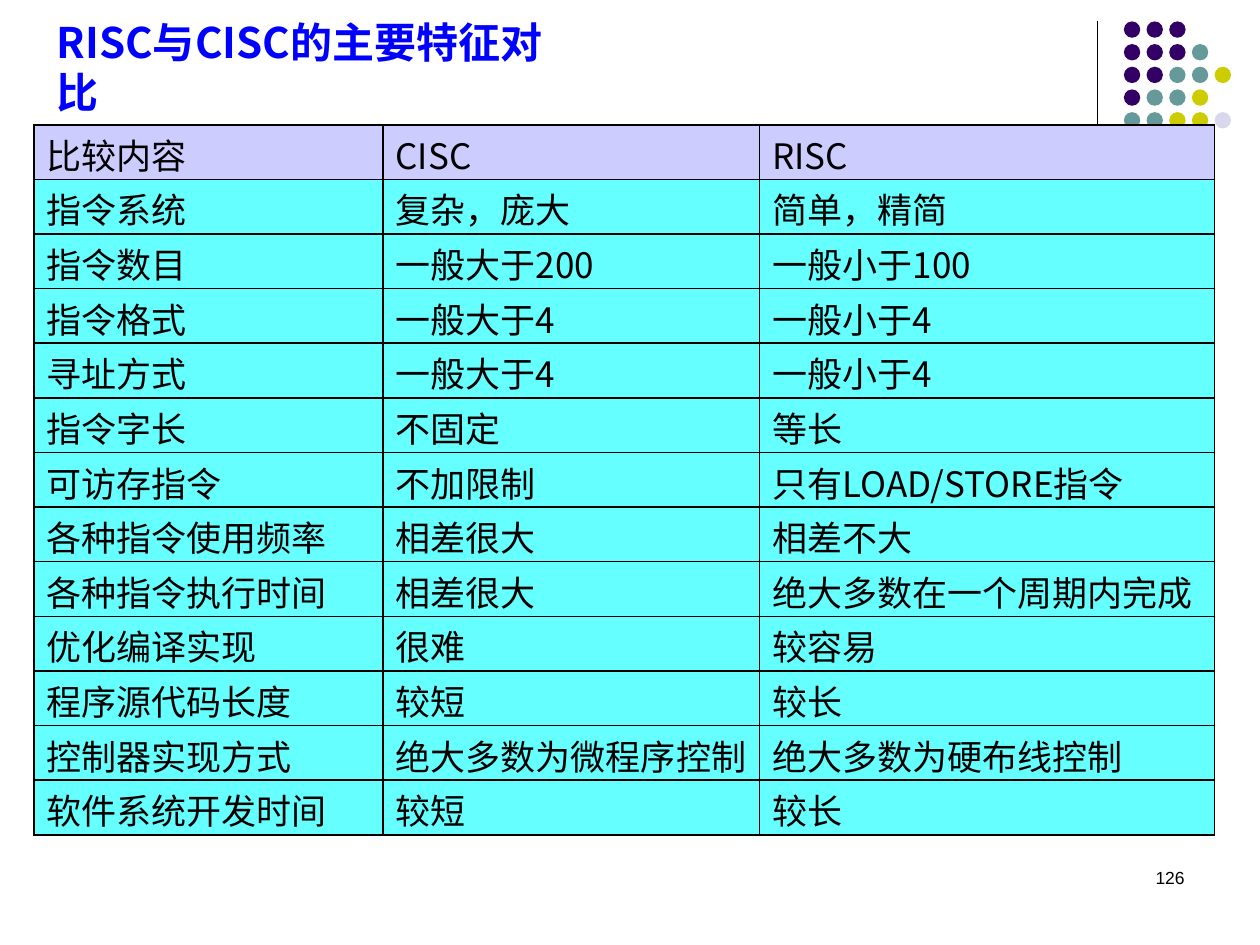
import pptx
import pptx.dml.color
import pptx.enum.shapes
import pptx.enum.text
import pptx.oxml.ns
import pptx.util
from lxml import etree
from pptx.util import Inches

FONT = "Noto Sans CJK SC"
BORDER_TAGS = ("a:lnL", "a:lnR", "a:lnT", "a:lnB")

DOT_COLOURS = {"P": "330066", "T": "669999", "Y": "CCCC00", "L": "D8D8EC"}
DOT_ROWS = ("PPP", "PPPT", "PPTTY", "PTTY", "TTYYL")
DOT_LEFT, DOT_TOP, DOT_PITCH, DOT_SIZE = 8.92, 0.17, 0.18, 0.13

COLUMN_WIDTHS = (2.77, 2.99, 3.61)
TABLE_HEIGHT = 5.64
COMPARISON = (
    ("比较内容", "CISC", "RISC"),
    ("指令系统", "复杂，庞大", "简单，精简"),
    ("指令数目", "一般大于200", "一般小于100"),
    ("指令格式", "一般大于4", "一般小于4"),
    ("寻址方式", "一般大于4", "一般小于4"),
    ("指令字长", "不固定", "等长"),
    ("可访存指令", "不加限制", "只有LOAD/STORE指令"),
    ("各种指令使用频率", "相差很大", "相差不大"),
    ("各种指令执行时间", "相差很大", "绝大多数在一个周期内完成"),
    ("优化编译实现", "很难", "较容易"),
    ("程序源代码长度", "较短", "较长"),
    ("控制器实现方式", "绝大多数为微程序控制", "绝大多数为硬布线控制"),
    ("软件系统开发时间", "较短", "较长"),
)


def colour(value):
    return pptx.dml.color.RGBColor.from_string(value)


def add_element(parent, tag, **attributes):
    return etree.SubElement(parent, pptx.oxml.ns.qn(tag), **attributes)


class SlideBuilder:
    def __init__(self, page):
        self.page = page

    def add_span(self, paragraph, text, size, value="000000", font=FONT, bold=False):
        span = paragraph.add_run()
        span.text = text
        span.font.size = pptx.util.Pt(size)
        span.font.bold = bold
        span.font.color.rgb = colour(value)
        span.font.name = font
        add_element(span.font._element, "a:ea", typeface=font)

    def title(self, text, left, top, width, height):
        box = self.page.shapes.title
        box.left, box.top = Inches(left), Inches(top)
        box.width, box.height = Inches(width), Inches(height)
        frame = box.text_frame
        frame.auto_size = pptx.enum.text.MSO_AUTO_SIZE.NONE
        frame.word_wrap = True
        frame.vertical_anchor = pptx.enum.text.MSO_ANCHOR.MIDDLE
        paragraph = frame.paragraphs[0]
        paragraph.alignment = pptx.enum.text.PP_ALIGN.LEFT
        self.add_span(paragraph, text, 24, "0000FF", bold=True)

    def page_number(self, text, left, top, width, height):
        box = self.page.shapes.add_textbox(
            Inches(left), Inches(top), Inches(width), Inches(height))
        box.text_frame.word_wrap = True
        paragraph = box.text_frame.paragraphs[0]
        paragraph.alignment = pptx.enum.text.PP_ALIGN.RIGHT
        self.add_span(paragraph, text, 10, font="Arial")

    def vertical_line(self, left, top, bottom):
        line = self.page.shapes.add_connector(
            pptx.enum.shapes.MSO_CONNECTOR.STRAIGHT,
            Inches(left), Inches(top), Inches(left), Inches(bottom))
        line.line.color.rgb = colour("000000")
        line.line.width = pptx.util.Pt(0.75)
        add_element(line._element.spPr, "a:effectLst")

    def dot(self, left, top, value):
        shape = self.page.shapes.add_shape(
            pptx.enum.shapes.MSO_SHAPE.OVAL,
            Inches(left), Inches(top), Inches(DOT_SIZE), Inches(DOT_SIZE))
        shape.shadow.inherit = False
        shape.fill.solid()
        shape.fill.fore_color.rgb = colour(value)
        shape.line.fill.background()

    def cell(self, cell, text, fill):
        cell.vertical_anchor = pptx.enum.text.MSO_ANCHOR.MIDDLE
        cell.margin_left = cell.margin_right = Inches(0.1)
        cell.margin_top, cell.margin_bottom = Inches(0.03), 0
        self.add_span(cell.text_frame.paragraphs[0], text, 20)
        properties = cell._tc.get_or_add_tcPr()
        for tag in BORDER_TAGS:
            border = add_element(properties, tag, w=str(pptx.util.Pt(1)))
            add_element(add_element(border, "a:solidFill"), "a:srgbClr", val="000000")
        cell.fill.solid()
        cell.fill.fore_color.rgb = colour(fill)

    def table(self, rows, left, top, widths, height):
        table = self.page.shapes.add_table(
            len(rows), len(widths), Inches(left), Inches(top),
            Inches(sum(widths)), Inches(height)).table
        table.first_row = table.horz_banding = False
        for column, width in zip(table.columns, widths):
            column.width = Inches(width)
        for row_index, texts in enumerate(rows):
            table.rows[row_index].height = Inches(height / len(rows))
            fill = "66FFFF" if row_index else "CCCCFF"
            for column_index, text in enumerate(texts):
                self.cell(table.cell(row_index, column_index), text, fill)


def main():
    deck = pptx.Presentation()
    deck.slide_width, deck.slide_height = Inches(10), Inches(7.5)
    builder = SlideBuilder(deck.slides.add_slide(deck.slide_layouts[5]))

    builder.vertical_line(8.71, 0.17, 1.83)
    for row, pattern in enumerate(DOT_ROWS):
        for column, key in enumerate(pattern):
            builder.dot(DOT_LEFT + column * DOT_PITCH,
                        DOT_TOP + row * DOT_PITCH, DOT_COLOURS[key])
    builder.page_number("126", 7.17, 6.83, 2.33, 0.5)
    builder.title("RISC与CISC的主要特征对比", 0.35, 0.28, 4.23, 0.5)
    builder.table(COMPARISON, 0.27, 0.99, COLUMN_WIDTHS, TABLE_HEIGHT)
    deck.save("out.pptx")


if __name__ == "__main__":
    main()
